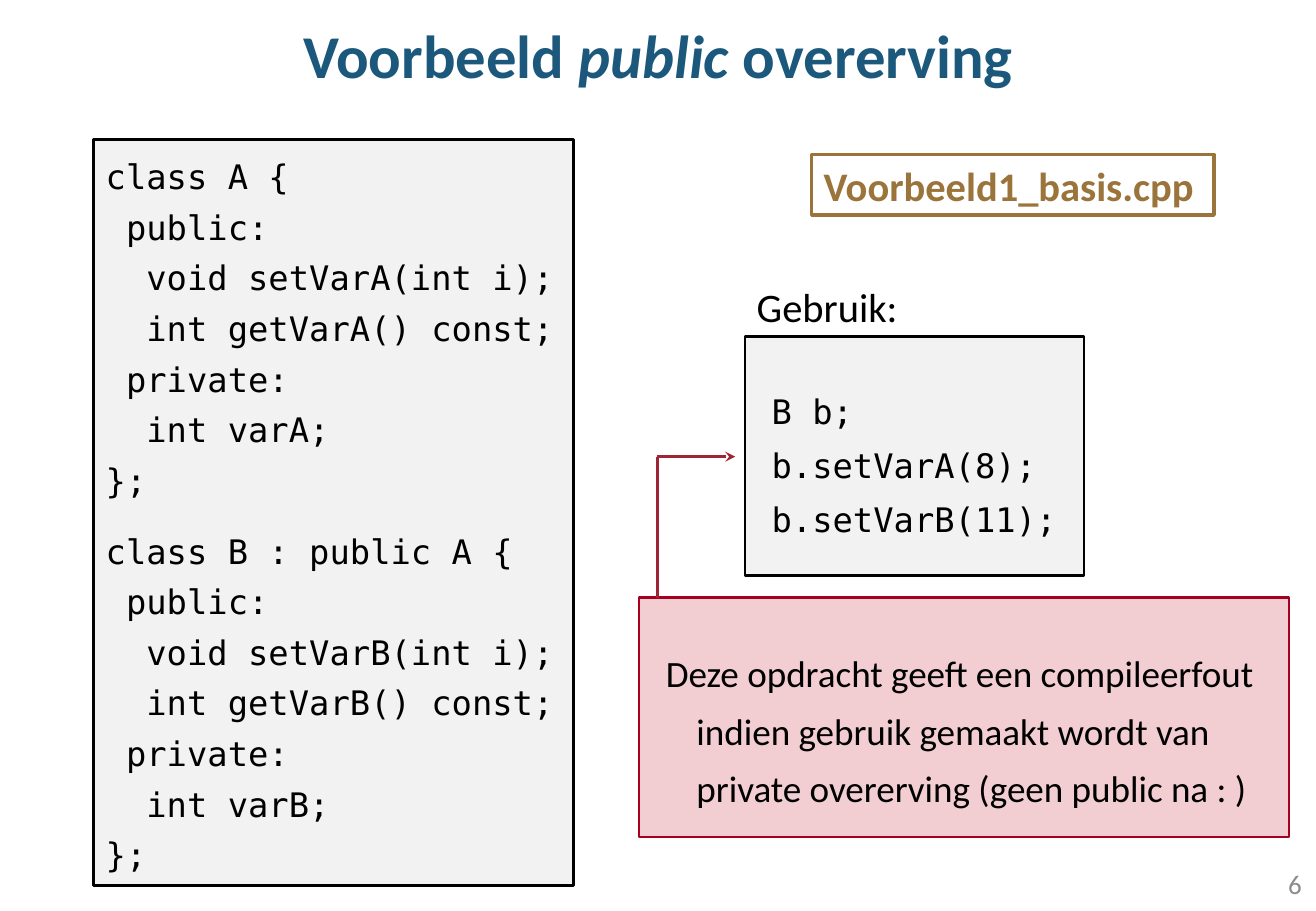
"""Builds the slide on public inheritance in C++."""
from lxml import etree
from pptx import Presentation
from pptx.dml.color import RGBColor
from pptx.enum.shapes import MSO_CONNECTOR, MSO_SHAPE
from pptx.enum.text import MSO_ANCHOR, PP_ALIGN
from pptx.oxml.ns import qn
from pptx.util import Cm, Pt

COLOURS = {
    "black": "000000", "code": "F2F2F2", "title": "1B587C", "file": "9A743A",
    "number": "8C8C8C", "warning": "F2CED2", "border": "A50021", "arrow": "9E2533",
}
SANS, MONO = "Calibri", "DejaVu Sans Mono"


def class_code(name, heading):
    return [heading, " public:", f"  void setVar{name}(int i);",
            f"  int getVar{name}() const;", " private:", f"  int var{name};", "};"]


class SlideBuilder:
    def __init__(self, slide):
        self.slide = slide

    def colour(self, name):
        return RGBColor.from_string(COLOURS[name])

    def box(self, at, fill=None, line="black", width=1.5):
        shape = self.slide.shapes.add_shape(MSO_SHAPE.RECTANGLE, *map(Cm, at))
        shape.shadow.inherit = False
        if fill:
            shape.fill.solid()
            shape.fill.fore_color.rgb = self.colour(fill)
        else:
            shape.fill.background()
        shape.line.color.rgb = self.colour(line)
        shape.line.width = Pt(width)
        return shape

    def label(self, at):
        return self.slide.shapes.add_textbox(*map(Cm, at))

    def text(self, shape, lines, size, font=SANS, colour="black", bold=False,
             align=PP_ALIGN.LEFT, anchor=MSO_ANCHOR.TOP, spacing=None,
             margin=0, hang=0, top=0.13):
        frame = shape.text_frame
        frame.word_wrap = True
        frame.vertical_anchor = anchor
        frame.margin_top = Cm(top)
        for i, line in enumerate(lines):
            paragraph = frame.add_paragraph() if i else frame.paragraphs[0]
            paragraph.alignment = align
            if spacing:
                paragraph.line_spacing = spacing
            if margin:
                properties = paragraph._p.get_or_add_pPr()
                properties.set("marL", str(Cm(margin)))
                properties.set("indent", str(-Cm(hang)))
            for j, words in enumerate([line] if isinstance(line, str) else line):
                run = paragraph.add_run()
                run.text = words
                run.font.name = font
                run.font.size = Pt(size)
                run.font.bold = bold
                run.font.italic = j % 2 == 1
                run.font.color.rgb = self.colour(colour)
        return frame

    def connector(self, start, end, arrow=False):
        connector = self.slide.shapes.add_connector(
            MSO_CONNECTOR.STRAIGHT, *map(Cm, start + end))
        connector.line.color.rgb = self.colour("arrow")
        connector.line.width = Pt(2)
        properties = connector._element.spPr
        if arrow:
            etree.SubElement(properties.find(qn("a:ln")), qn("a:tailEnd"), type="stealth")
        etree.SubElement(properties, qn("a:effectLst"))


prs = Presentation()
prs.slide_width, prs.slide_height = Cm(27.51), Cm(19.05)
page = SlideBuilder(prs.slides.add_slide(prs.slide_layouts[6]))

page.text(page.label((0, 0, 27.51, 2.41)), [("Voorbeeld", " public", " overerving")],
          36, colour="title", bold=True, align=PP_ALIGN.CENTER,
          anchor=MSO_ANCHOR.MIDDLE, spacing=0.96)

class_a = class_code("A", "class A {")
class_b = class_code("B", "class B : public A {")
classes = page.text(page.box((1.96, 2.92, 10.03, 15.6), "code"), class_a + class_b,
                    20, MONO, spacing=Pt(30), margin=0.95, hang=0.95)
classes.paragraphs[len(class_a)].space_before = Pt(12)

page.text(page.box((16.97, 3.23, 8.41, 1.27), line="file", width=2),
          ["Voorbeeld1_basis.cpp"], 24, colour="file", bold=True)

page.text(page.label((15.57, 5.77, 6.07, 1.27)), ["Gebruik:"], 24)
page.text(page.box((15.57, 7.04, 7.09, 5), "code"),
          ["B b;", "b.setVarA(8);", "b.setVarB(11);"],
          20, MONO, spacing=Pt(32), margin=0.95, hang=0.64, top=0.84)

page.text(page.box((13.36, 12.5, 13.59, 5), "warning", "border"),
          ["Deze opdracht geeft een compileerfout indien gebruik gemaakt wordt van "
           "private overerving (geen public na : )"],
          22, spacing=Pt(34), margin=0.95, hang=0.64, top=0.84)

corner = (13.74, 9.55)
page.connector((13.74, 12.5), corner)
page.connector(corner, (15.37, 9.55), arrow=True)

page.text(page.label((21.03, 17.96, 6.43, 1.02)), ["6"], 16, colour="number",
          align=PP_ALIGN.RIGHT, anchor=MSO_ANCHOR.MIDDLE)

prs.save("out.pptx")
